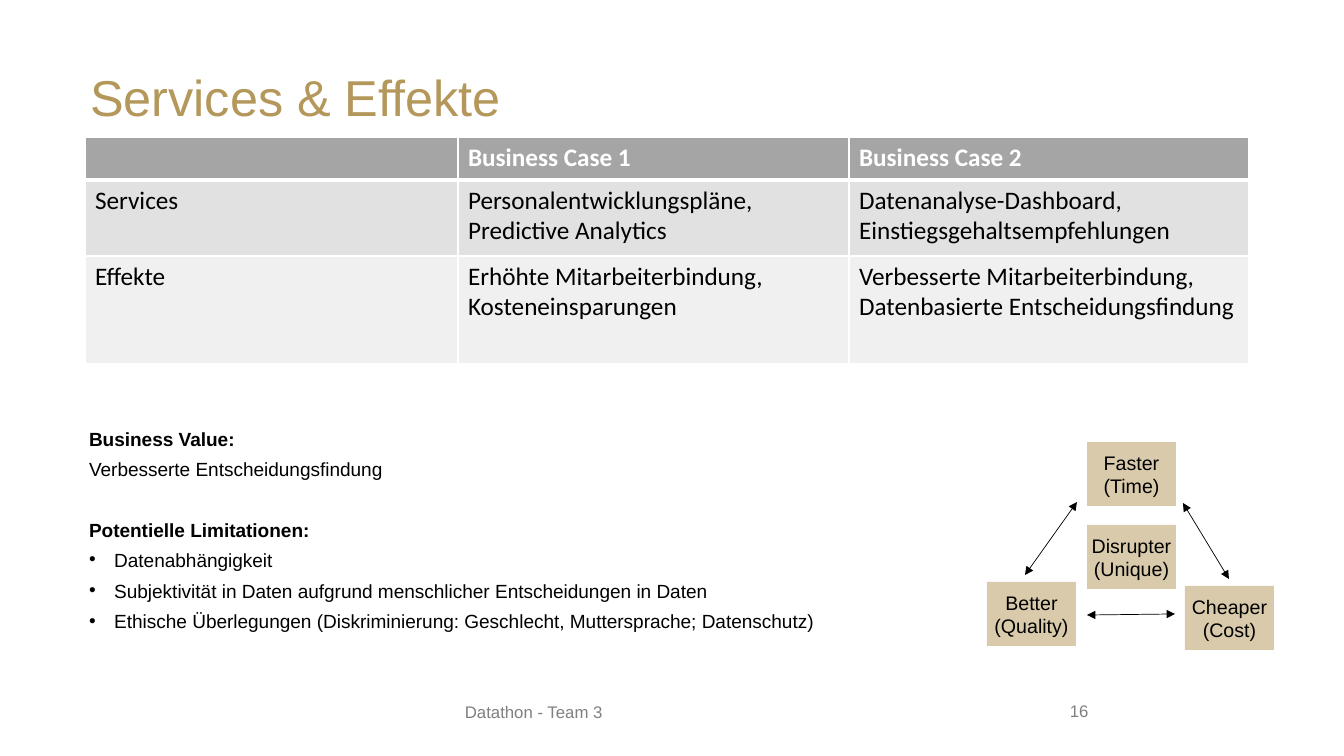
"""Build the "Services & Effekte" slide with its case table, value notes and benefit triangle."""
from dataclasses import dataclass

from lxml import etree
from pptx import Presentation
from pptx import util as u
from pptx.dml.color import RGBColor
from pptx.enum import shapes, text
from pptx.oxml import ns


@dataclass(frozen=True)
class Theme:
    gold: str = "B4975A"
    ink: str = "000000"
    paper: str = "FFFFFF"
    muted: str = "808080"
    header: str = "A5A5A5"
    bands: tuple = ("E1E1E1", "F0F0F0")
    sans: str = "Arial"
    grid: str = "Calibri"
    title: float = 36
    cell: float = 18
    benefit: float = 14
    note: float = 13.6
    footer: float = 12


theme = Theme()
PX = 914400 / 100.8


def px(*lengths):
    return [u.Emu(round(length * PX)) for length in lengths]


def write(frame, lines, color, font, frame_format={}, para_format={}):
    for name, value in frame_format.items():
        setattr(frame, name, value)
    frame.text = "\n".join(lines)
    for para in frame.paragraphs:
        for name, value in para_format.items():
            setattr(para, name, value)
        for run in para.runs:
            for name, value in font.items():
                setattr(run.font, name, value)
            run.font.color.rgb = RGBColor.from_string(color)


deck = Presentation()
deck.slide_width, deck.slide_height = px(1344, 756)
slide = deck.slides.add_slide(deck.slide_layouts[5])

heading = slide.shapes.title
heading.left, heading.top, heading.width, heading.height = px(80, 62, 1185, 77)
write(heading.text_frame, ["Services & Effekte"], theme.gold,
      {"name": theme.sans, "size": u.Pt(theme.title)},
      {"vertical_anchor": text.MSO_ANCHOR.MIDDLE, "word_wrap": True},
      {"alignment": text.PP_ALIGN.LEFT, "line_spacing": 0.9})

cases = [
    [[], ["Business Case 1"], ["Business Case 2"]],
    [["Services"], ["Personalentwicklungspläne,", "Predictive Analytics"],
     ["Datenanalyse-Dashboard,", "Einstiegsgehaltsempfehlungen"]],
    [["Effekte"], ["Erhöhte Mitarbeiterbindung,", "Kosteneinsparungen"],
     ["Verbesserte Mitarbeiterbindung,", "Datenbasierte Entscheidungsfindung"]],
]
case_table = slide.shapes.add_table(3, 3, *px(85, 137, 1164, 227)).table
for column, width in zip(case_table.columns, px(373, 391, 400)):
    column.width = width
for row, height in zip(case_table.rows, px(43, 76, 108)):
    row.height = height
for r, row in enumerate(cases):
    for c, lines in enumerate(row):
        cell = case_table.cell(r, c)
        write(cell.text_frame, lines, theme.ink if r else theme.paper,
              {"name": theme.grid, "size": u.Pt(theme.cell), "bold": r == 0})
        edges = cell._tc.get_or_add_tcPr()
        for side in "LRTB":
            thick = (r, side) in [(0, "B"), (1, "T")]
            edge = etree.SubElement(edges, ns.qn(f"a:ln{side}"), w=str(u.Pt(3 if thick else 1)))
            paint = etree.SubElement(edge, ns.qn("a:solidFill"))
            etree.SubElement(paint, ns.qn("a:srgbClr"), val=theme.paper)
        cell.fill.solid()
        cell.fill.fore_color.rgb = RGBColor.from_string((theme.header, *theme.bands)[r])

flush = dict.fromkeys(["margin_left", "margin_right", "margin_top", "margin_bottom"], 0)
notes = [
    "Business Value:",
    "Verbesserte Entscheidungsfindung",
    "Potentielle Limitationen:",
    "Datenabhängigkeit",
    "Subjektivität in Daten aufgrund menschlicher Entscheidungen in Daten",
    "Ethische Überlegungen (Diskriminierung: Geschlecht, Muttersprache; Datenschutz)",
]
value_notes = slide.shapes.add_textbox(*px(89, 420, 860, 212)).text_frame
write(value_notes, notes, theme.ink, {"name": theme.sans, "size": u.Pt(theme.note)},
      {**flush, "word_wrap": True, "vertical_anchor": text.MSO_ANCHOR.BOTTOM},
      {"line_spacing": 0.7, "space_before": u.Pt(10.4)})
for i, para in enumerate(value_notes.paragraphs):
    para.runs[0].font.bold = i in (0, 2)
    if i == 2:
        para.space_before = u.Pt(31.8)
    if i > 2:
        indent = para._p.get_or_add_pPr()
        indent.set("marL", "228600")
        indent.set("indent", "-228600")
        etree.SubElement(indent, ns.qn("a:buFont"), typeface=theme.sans)
        etree.SubElement(indent, ns.qn("a:buChar"), char="•")

for label, left, top, width in [("Datathon - Team 3", 455, 697, 454), ("16", 1060, 696, 280)]:
    footer = slide.shapes.add_textbox(*px(left, top, width, 40)).text_frame
    write(footer, [label], theme.muted, {"name": theme.sans, "size": u.Pt(theme.footer)},
          {"word_wrap": True})

benefits = [
    ("Disrupter", "(Unique)", 1087, 525),
    ("Cheaper", "(Cost)", 1185, 586),
    ("Faster", "(Time)", 1087, 442),
    ("Better", "(Quality)", 987, 582),
]
for benefit, measure, left, top in benefits:
    box = slide.shapes.add_shape(shapes.MSO_SHAPE.RECTANGLE, *px(left, top, 89, 64))
    box.shadow.inherit = False
    box.line.fill.background()
    box.fill.solid()
    box.fill.fore_color.rgb = RGBColor.from_string(theme.gold)
    tint = box._element.spPr.find(".//" + ns.qn("a:srgbClr"))
    etree.SubElement(tint, ns.qn("a:alpha"), val="50000")
    write(box.text_frame, [benefit, measure], theme.ink,
          {"name": theme.sans, "size": u.Pt(theme.benefit)},
          {**flush, "word_wrap": False, "vertical_anchor": text.MSO_ANCHOR.MIDDLE},
          {"alignment": text.PP_ALIGN.CENTER})

for ends in [(1077, 502, 1025, 575), (1183, 503, 1229, 579), (1175, 614, 1087, 615)]:
    arrow = slide.shapes.add_connector(shapes.MSO_CONNECTOR.STRAIGHT, *px(*ends))
    arrow.line.color.rgb = RGBColor.from_string(theme.ink)
    arrow.line.width = u.Pt(0.5)
    for tip in ("a:headEnd", "a:tailEnd"):
        etree.SubElement(arrow.line._get_or_add_ln(), ns.qn(tip), type="triangle")
    etree.SubElement(arrow._element.spPr, ns.qn("a:effectLst"))

deck.save("out.pptx")
